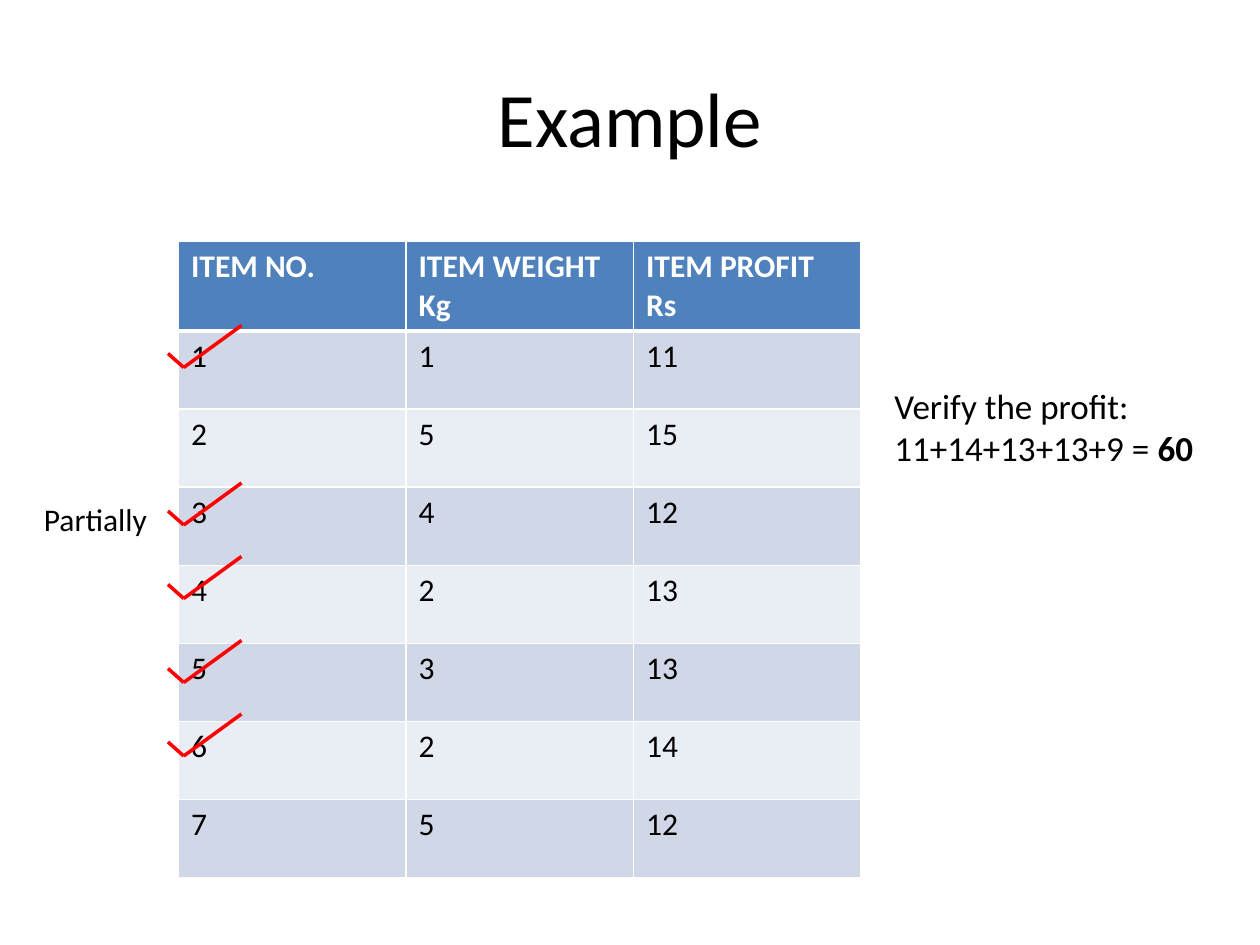
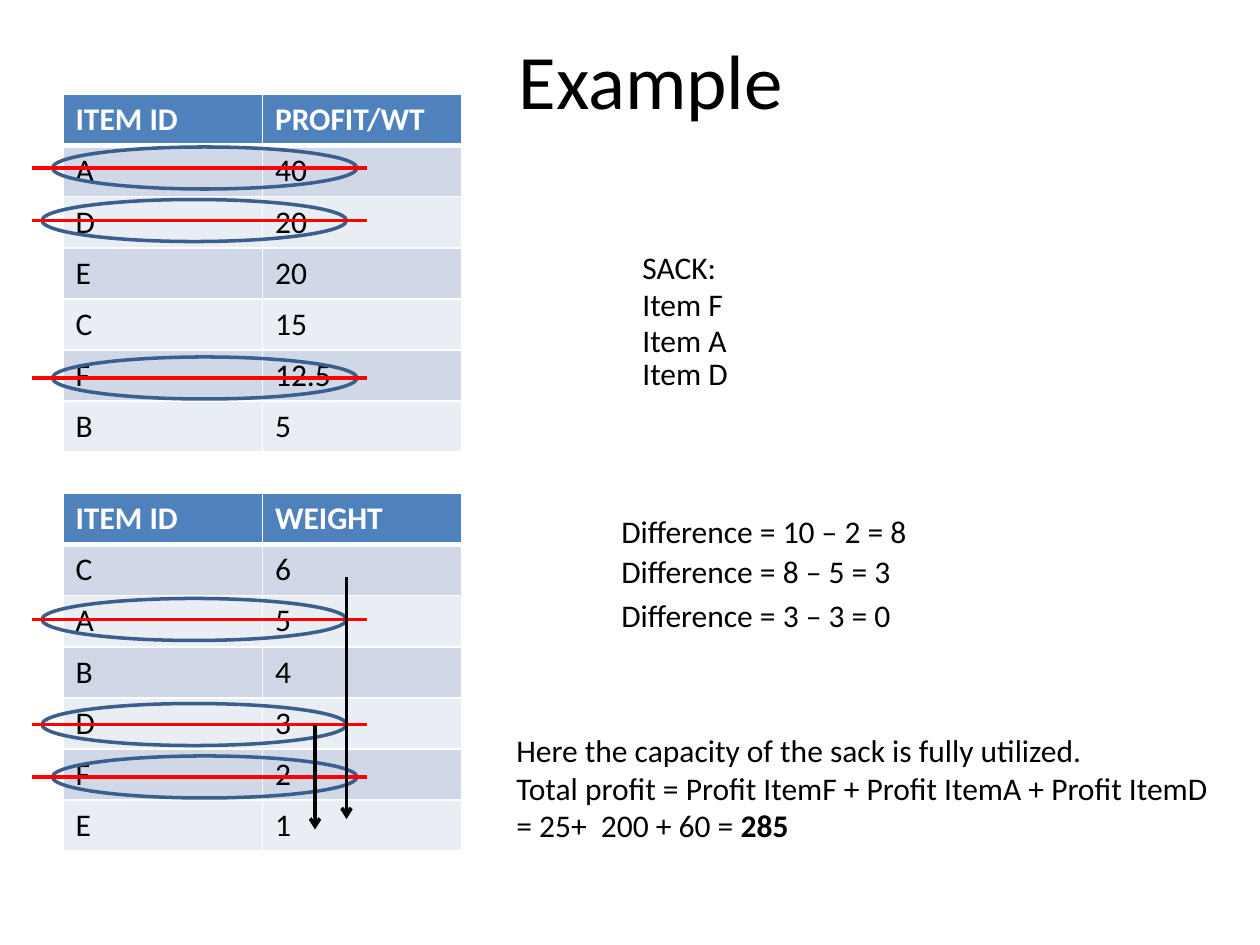
from lxml import etree
from pptx import Presentation
from pptx.dml.color import RGBColor
from pptx.enum.shapes import MSO_CONNECTOR, MSO_SHAPE
from pptx.enum.text import MSO_ANCHOR, MSO_AUTO_SIZE, PP_ALIGN
from pptx.oxml.ns import qn
from pptx.util import Pt

STRAIGHT = MSO_CONNECTOR.STRAIGHT
ELLIPSE = MSO_SHAPE.OVAL
MIDDLE = MSO_ANCHOR.MIDDLE
GROW = MSO_AUTO_SIZE.SHAPE_TO_FIT_TEXT
CENTER = PP_ALIGN.CENTER

BLACK = RGBColor(0x00, 0x00, 0x00)
WHITE = RGBColor(0xFF, 0xFF, 0xFF)
RED = RGBColor(0xFF, 0x00, 0x00)
HEADER_BLUE = RGBColor(0x4F, 0x81, 0xBD)
RING_BLUE = RGBColor(0x3A, 0x5F, 0x8C)
BANDS = [RGBColor(0xD0, 0xD8, 0xE8), RGBColor(0xE9, 0xED, 0xF4)]

FONT = "Calibri"
BODY_SIZE = 18
LINE_WIDTH = 2


def add_run(paragraph, text, size=BODY_SIZE, color=BLACK, bold=False):
    run = paragraph.add_run()
    run.text = text
    run.font.name = FONT
    run.font.size = Pt(size)
    run.font.color.rgb = color
    run.font.bold = bold


def fill_paragraphs(frame, lines, **style):
    """Each line is a string, or a (plain, bold) pair."""
    for index, line in enumerate(lines):
        paragraph = frame.add_paragraph() if index else frame.paragraphs[0]
        plain, strong = (line, "") if isinstance(line, str) else line
        add_run(paragraph, plain, **style)
        if strong:
            add_run(paragraph, strong, **{**style, "bold": True})


def add_text(slide, left, top, width, height, lines, size=BODY_SIZE):
    box = slide.shapes.add_textbox(Pt(left), Pt(top), Pt(width), Pt(height))
    frame = box.text_frame
    frame.word_wrap = True
    frame.auto_size = GROW
    fill_paragraphs(frame, lines, size=size)
    return frame


def add_title(slide, left, top):
    frame = add_text(slide, left, top, 648, 90, ["Example"], size=44)
    frame.auto_size = MSO_AUTO_SIZE.NONE
    frame.vertical_anchor = MIDDLE
    frame.paragraphs[0].alignment = CENTER


def set_borders(cell, top, bottom):
    properties = cell._tc.get_or_add_tcPr()
    for side, width in (("L", 1), ("R", 1), ("T", top), ("B", bottom)):
        border = etree.SubElement(properties, qn(f"a:ln{side}"), w=str(Pt(width)))
        fill = etree.SubElement(border, qn("a:solidFill"))
        etree.SubElement(fill, qn("a:srgbClr"), val=str(WHITE))


def add_item_table(slide, left, top, column_width, row_height, rows):
    columns = len(rows[0])
    table = slide.shapes.add_table(
        len(rows), columns, Pt(left), Pt(top),
        Pt(column_width * columns), Pt(row_height * len(rows))).table
    for column in table.columns:
        column.width = Pt(column_width)
    for r, values in enumerate(rows):
        table.rows[r].height = Pt(row_height)
        header = r == 0
        for c, value in enumerate(values):
            cell = table.cell(r, c)
            set_borders(cell, 3 if r == 1 else 1, 3 if header else 1)
            cell.fill.solid()
            cell.fill.fore_color.rgb = HEADER_BLUE if header else BANDS[(r - 1) % 2]
            fill_paragraphs(cell.text_frame, value.split("\n"),
                            color=WHITE if header else BLACK, bold=header)


def add_line(shapes, x1, y1, x2, y2, color, arrow=False):
    line = shapes.add_connector(STRAIGHT, Pt(x1), Pt(y1), Pt(x2), Pt(y2))
    line.line.color.rgb = color
    line.line.width = Pt(LINE_WIDTH)
    if arrow:
        etree.SubElement(line.line._get_or_add_ln(), qn("a:tailEnd"), type="arrow")
    etree.SubElement(line._element.spPr, qn("a:effectLst"))


def add_tick(slide, top):
    strokes = slide.shapes.add_group_shape().shapes
    add_line(strokes, 96, top, 105, top + 8, RED)
    add_line(strokes, 105, top + 8, 138, top - 16, RED)


def add_taken_mark(slide, left, top):
    """Ring a chosen item and strike it through."""
    ring = slide.shapes.add_shape(ELLIPSE, Pt(left), Pt(top), Pt(174), Pt(24))
    ring.shadow.inherit = False
    ring.fill.background()
    ring.line.color.rgb = RING_BLUE
    ring.line.width = Pt(LINE_WIDTH)
    add_line(slide.shapes, 18, top + 12, 210, top + 12, RED)


def build_profit_check(slide):
    add_title(slide, 36, 21.6)
    items = [("1", "1", "11"), ("2", "5", "15"), ("3", "4", "12"),
             ("4", "2", "13"), ("5", "3", "13"), ("6", "2", "14"),
             ("7", "5", "12")]
    header = ("ITEM NO.", "ITEM WEIGHT\nKg", "ITEM PROFIT\nRs")
    add_item_table(slide, 102, 138, 130, 44.64, [header] + items)

    # Chosen items
    for tick_top in (202, 292, 334, 382, 424):
        add_tick(slide, tick_top)
    add_text(slide, 18, 282, 90, 29, ["Partially"])
    add_text(slide, 504, 216, 204, 80,
             ["Verify the profit:", ("11+14+13+13+9 = ", "60")], size=20)


def build_sack_filling(slide):
    add_title(slide, 48, 0)

    # Items ranked by ratio and by weight
    by_ratio = [("ITEM ID", "PROFIT/WT"), ("A", "40"), ("D", "20"),
                ("E", "20"), ("C", "15"), ("F", "12.5"), ("B", "5")]
    by_weight = [("ITEM ID", "WEIGHT"), ("C", "6"), ("A", "5"), ("B", "4"),
                 ("D", "3"), ("F", "2"), ("E", "1")]
    for top, rows in ((54, by_ratio), (282, by_weight)):
        add_item_table(slide, 36, top, 114, 29.2, rows)

    # Items already taken
    for left, top in ((30, 84), (24, 114), (30, 204),
                      (24, 342), (24, 402), (30, 432)):
        add_taken_mark(slide, left, top)

    # Search direction in the weight table
    add_line(slide.shapes, 198, 330, 198, 468, BLACK, arrow=True)
    add_line(slide.shapes, 180, 414, 180, 474, BLACK, arrow=True)

    # Sack contents, remaining capacity and result
    add_text(slide, 360, 138, 300, 51, ["SACK:", "Item F"])
    add_text(slide, 360, 180, 84, 29, ["Item A"])
    add_text(slide, 360, 199, 84, 29, ["Item D"])
    differences = ((289, "10 – 2 = 8"), (312, "8 – 5 = 3"), (337, "3 – 3 = 0"))
    for top, sum_text in differences:
        add_text(slide, 348, top, 186, 29, [f"Difference = {sum_text}"])
    add_text(slide, 288, 414, 432, 73, [
        "Here the capacity of the sack is fully utilized.",
        "Total profit = Profit ItemF + Profit ItemA + Profit ItemD",
        ("= 25+  200 + 60 = ", "285")])


def main():
    deck = Presentation()
    deck.slide_width, deck.slide_height = Pt(720), Pt(540)
    blank = deck.slide_layouts[6]
    for build in (build_profit_check, build_sack_filling):
        build(deck.slides.add_slide(blank))
    deck.save("out.pptx")


main()
